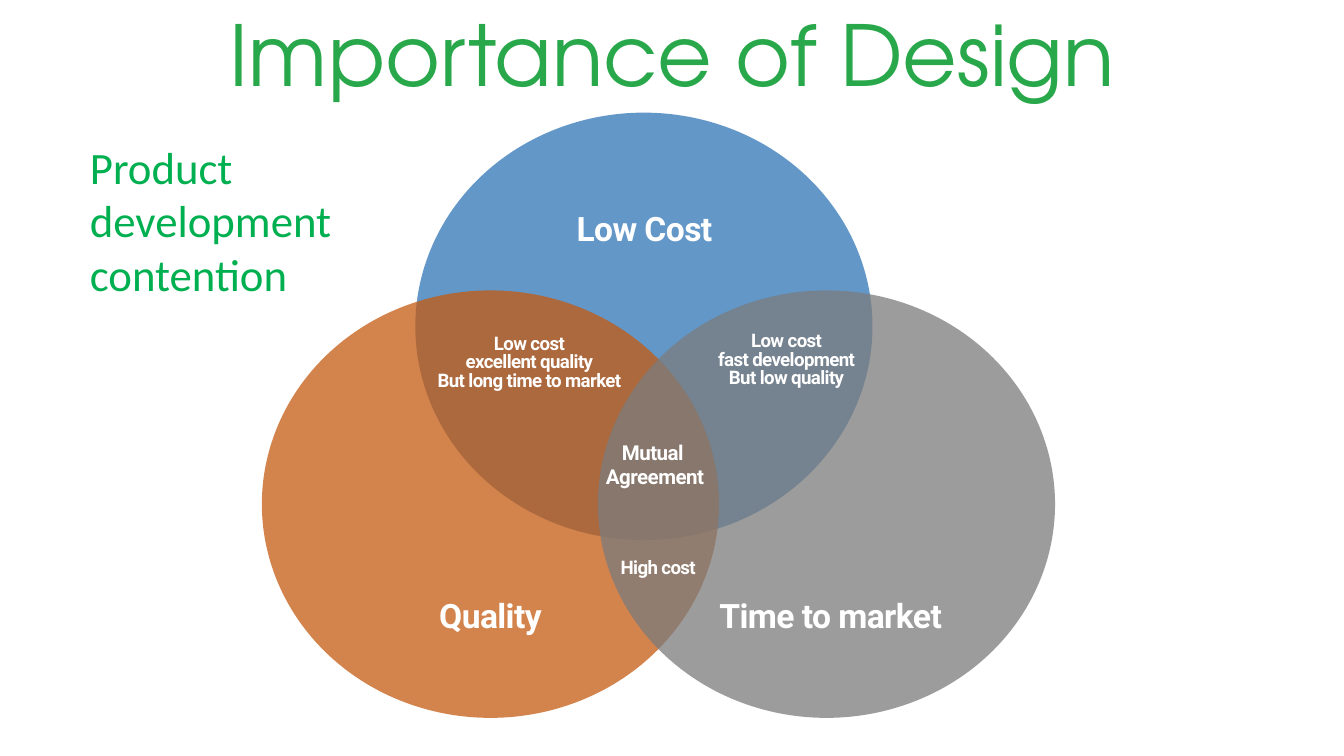
"""Build a slide showing product development contention as a three-circle Venn diagram."""
from lxml import etree
from pptx import Presentation
from pptx import util as u
from pptx.dml import color
from pptx.enum import shapes, text
from pptx.oxml import ns

COLORS = {
    "title": "28A84A",
    "subtitle": "00B050",
    "cost": "2E75B6",
    "quality": "C55A11",
    "time": "7C7C7C",
    "label": "FFFFFF",
}


def write_text(frame, wording, size, font="Roboto", fill="label", bold=False, tracking=None,
               align=text.PP_ALIGN.CENTER, anchor=text.MSO_ANCHOR.BOTTOM,
               line_spacing=None, indent=None):
    frame.word_wrap = True
    frame.auto_size = text.MSO_AUTO_SIZE.NONE
    frame.vertical_anchor = anchor
    frame.text = wording
    for paragraph in frame.paragraphs:
        paragraph.alignment = align
        paragraph.line_spacing = line_spacing
        if indent:
            paragraph._p.get_or_add_pPr().set("marL", str(indent))
        for run in paragraph.runs:
            run.font.name = font
            run.font.size = u.Pt(size)
            run.font.bold = bold
            run.font.color.rgb = color.RGBColor.from_string(COLORS[fill])
            if tracking:
                run._r.get_or_add_rPr().set("spc", str(tracking))


presentation = Presentation()
presentation.slide_width = u.Cm(25.4)
presentation.slide_height = u.Cm(14.29)
slide = presentation.slides.add_slide(presentation.slide_layouts[5])

title = slide.shapes.title
title.left, title.top, title.width, title.height = u.Cm(0), u.Cm(0), u.Cm(25.4), u.Cm(2.11)
write_text(title.text_frame, "Importance of Design", 45, font="TeX Gyre Adventor",
           fill="title", line_spacing=0.9)

for name, left, top in [("cost", 7.85, 2.13), ("quality", 4.95, 5.49), ("time", 11.3, 5.49)]:
    circle = slide.shapes.add_shape(shapes.MSO_SHAPE.OVAL, u.Cm(left), u.Cm(top),
                                    u.Cm(8.64), u.Cm(8.08))
    circle.shadow.inherit = False
    circle.line.fill.background()
    circle.fill.solid()
    circle.fill.fore_color.rgb = color.RGBColor.from_string(COLORS[name])
    rgb_element = circle._element.spPr.find(".//" + ns.qn("a:srgbClr"))
    etree.SubElement(rgb_element, ns.qn("a:alpha"), val="75000")

labels = [
    ("Quality", 7.34, 10.57, 3.86, 1.57, 18, u.Pt(43.2)),
    ("Low Cost", 10.01, 3.25, 4.34, 1.57, 18, u.Pt(43.2)),
    ("Time to market", 13.26, 10.57, 4.88, 1.57, 18, u.Pt(43.2)),
    ("Mutual \nAgreement", 10.41, 8.18, 3.94, 1.19, 11, None),
    ("Low cost\nfast development\nBut low quality", 12.45, 6.15, 4.83, 1.32, 10, u.Pt(10)),
    ("Low cost\nexcellent quality\nBut long time to market", 7.44, 6.2, 5.13, 1.32, 10, u.Pt(10)),
    ("High cost", 11.46, 10.44, 1.96, 0.61, 10, u.Pt(10)),
]
for wording, left, top, width, height, size, line_spacing in labels:
    label = slide.shapes.add_textbox(u.Cm(left), u.Cm(top), u.Cm(width), u.Cm(height))
    write_text(label.text_frame, wording, size, bold=True, tracking=-30,
               line_spacing=line_spacing)

subtitle = slide.shapes.add_textbox(u.Cm(0.18), u.Cm(2.51), u.Cm(6.91), u.Cm(3.33))
write_text(subtitle.text_frame, "Product development contention", 24, font="Calibri",
           fill="subtitle", align=text.PP_ALIGN.LEFT, anchor=text.MSO_ANCHOR.TOP,
           indent=u.Cm(1.27))

presentation.save("out.pptx")
